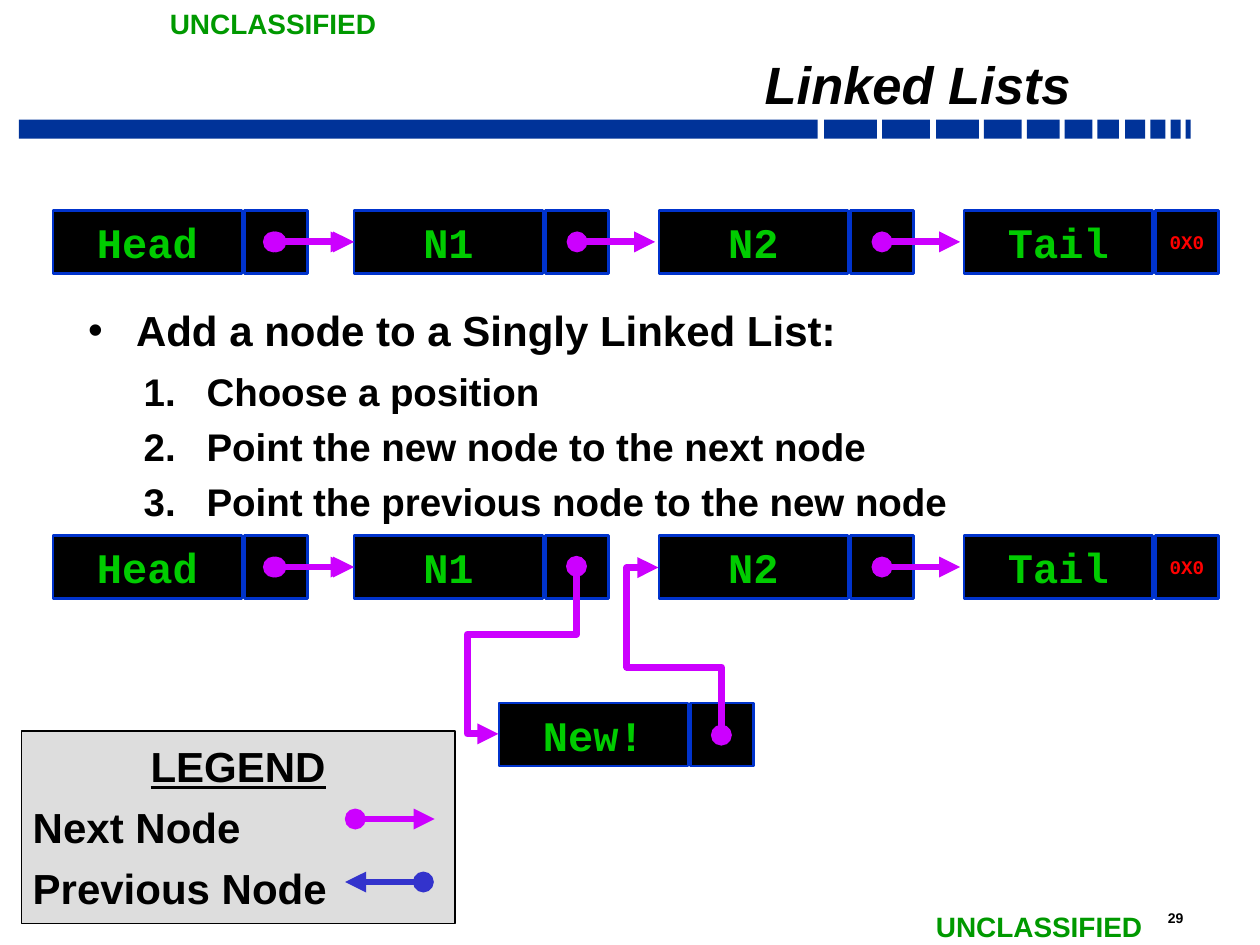
"""Build the slide on adding a node to a singly linked list."""
from lxml import etree
from pptx import Presentation, util as u
from pptx.dml.color import RGBColor
from pptx.enum import shapes as shp, text as txt
from pptx.oxml import ns

hue = RGBColor.from_string
inch = u.Inches
mid = txt.PP_ALIGN.CENTER

deck = Presentation()
deck.slide_width, deck.slide_height = inch(10), inch(7.5)
slide = deck.slides.add_slide(deck.slide_layouts[6])


def box(spot, rows=(), font=None, tint="000000", fill=None, edge=None, wide=1.5, **frame):
    """Add a box whose rows are (text, paragraph values)."""
    area = [inch(n) for n in spot]
    if fill:
        item = slide.shapes.add_shape(shp.MSO_SHAPE.RECTANGLE, *area)
        item.shadow.inherit = False
        item.fill.solid()
        item.fill.fore_color.rgb = hue(fill)
        if edge:
            item.line.color.rgb = hue(edge)
            item.line.width = u.Pt(wide)
        else:
            item.line.fill.background()
    else:
        item = slide.shapes.add_textbox(*area)
    body = item.text_frame
    for key, val in {"word_wrap": True, **frame}.items():
        setattr(body, key, val)
    for i, (word, form) in enumerate(rows):
        para = body.add_paragraph() if i else body.paragraphs[0]
        for key, val in {"alignment": txt.PP_ALIGN.LEFT, **form}.items():
            setattr(para, key, val)
        run = para.add_run()
        run.text = word
        for key, val in {"name": "Arial", "bold": True, **(font or {})}.items():
            setattr(run.font, key, val)
        run.font.color.rgb = hue(tint)
    return body


def link(x, y, x2, y2, tint="CC00FF", turn=None, bend=()):
    """Add an arrow from a dot, bent when it has a turn."""
    kind = shp.MSO_CONNECTOR.ELBOW if bend else shp.MSO_CONNECTOR.STRAIGHT
    line = slide.shapes.add_connector(kind, *[inch(n) for n in (x, y, x2, y2)])
    line.line.color.rgb = hue(tint)
    line.line.width = u.Pt(4)
    prop = line.line._get_or_add_ln()
    for tag, end in (("a:headEnd", "oval"), ("a:tailEnd", "triangle")):
        etree.SubElement(prop, ns.qn(tag), type=end)
    etree.SubElement(line._element.spPr, ns.qn("a:effectLst"))
    if bend:
        line._element.spPr.find(ns.qn("a:xfrm")).set("rot", str(turn * 60000))
        geom = line._element.spPr.find(ns.qn("a:prstGeom"))
        geom.set("prst", "bentConnector4")
        vals = geom.find(ns.qn("a:avLst"))
        for i, val in enumerate(bend, 1):
            etree.SubElement(vals, ns.qn("a:gd"), name=f"adj{i}", fmla=f"val {val}")


lefts = (0.15, 6.54, 7, 7.43, 7.81, 8.15, 8.45, 8.71, 8.93, 9.13, 9.29, 9.41)
widths = (6.34, 0.42, 0.38, 0.34, 0.3, 0.26, 0.22, 0.17, 0.16, 0.12, 0.08, 0.04)
for x, w in zip(lefts, widths):
    box((x, 0.95, w, 0.15), fill="003399")

for x, y in ((1.25, 0), (7.33, 7.17)):
    box((x, y, 1.86, 0.37), [("UNCLASSIFIED", {})], {"size": u.Pt(16)}, "009900",
        word_wrap=False)
box((9.17, 7.17, 0.54, 0.23), [("29", {})], {"size": u.Pt(8)})

pad = {"margin_left": inch(0.09), "margin_right": inch(0.09),
       "margin_top": inch(0.04), "margin_bottom": inch(0.04)}
box((1.67, 0.35, 6.92, 0.59),
    [("Linked Lists", {"alignment": txt.PP_ALIGN.RIGHT, "line_spacing": 0.7})],
    {"size": u.Pt(30), "italic": True},
    vertical_anchor=txt.MSO_ANCHOR.BOTTOM, **pad)

steps = box((0.61, 2.38, 9.07, 1.8), [
    ("Add a node to a Singly Linked List:", {}),
    ("Choose a position", {"level": 1, "space_before": u.Pt(7)}),
    ("Point the new node to the next node", {"level": 1, "space_before": u.Pt(5.3)}),
    ("Point the previous node to the new node", {"level": 1, "space_before": u.Pt(5.3)}),
], {"size": u.Pt(22)}, **pad)
for para in steps.paragraphs:
    prop = para._p.get_or_add_pPr()
    left, hang = (0.94, -0.5) if para.level else (0.38, -0.38)
    prop.set("marL", str(inch(left)))
    prop.set("indent", str(inch(hang)))
    if para.level:
        etree.SubElement(prop, ns.qn("a:buFont"), typeface="+mj-lt")
        etree.SubElement(prop, ns.qn("a:buAutoNum"), type="arabicPeriod")
    else:
        para.runs[0].font.size = u.Pt(24)
        etree.SubElement(prop, ns.qn("a:buFont"), typeface="Arial")
        etree.SubElement(prop, ns.qn("a:buChar"), char="•")

nodes = [(x, y, word) for y in (1.67, 4.25) for x, word in
         ((0.42, "Head"), (2.81, "N1"), (5.23, "N2"), (7.65, "Tail"))]
for x, y, word in nodes + [(3.96, 5.58, "New!")]:
    look = {"fill": "000000", "edge": "0033CC", "vertical_anchor": txt.MSO_ANCHOR.MIDDLE}
    box((x, y, 1.5, 0.5), [(word, {"alignment": mid})],
        {"size": u.Pt(24), "name": "Courier New"}, "00CC00", **look)
    null = [("0X0", {"alignment": mid})] if word == "Tail" else []
    box((x + 1.52, y, 0.5, 0.5), null, {"size": u.Pt(11), "name": "Courier New"},
        "FF0000", margin_left=0, margin_right=0, **look)

for y, starts in ((1.92, (2.17, 2.19, 4.58, 7)), (4.5, (2.17, 2.19, 7))):
    for x in starts:
        link(x, y, x + 0.62, y)
link(3.6, 4.85, 4.93, 5.47, turn=90, bend=(40600, 140000))
link(4.81, 5.42, 6.14, 4.92, turn=270, bend=(40600, 150000))

key = box((0.17, 5.8, 3.44, 1.53), [
    ("LEGEND", {"alignment": mid}),
    ("Next Node", {"space_before": u.Pt(6)}),
    ("Previous Node", {"space_before": u.Pt(6)}),
], {"size": u.Pt(24)}, fill="DDDDDD", edge="000000", wide=1,
    vertical_anchor=txt.MSO_ANCHOR.TOP, **{**pad, "margin_top": inch(0.08)})
key.paragraphs[0].runs[0].font.underline = True
link(2.82, 6.5, 3.45, 6.5)
link(3.36, 7, 2.74, 7, "3333CC")

deck.save("out.pptx")
